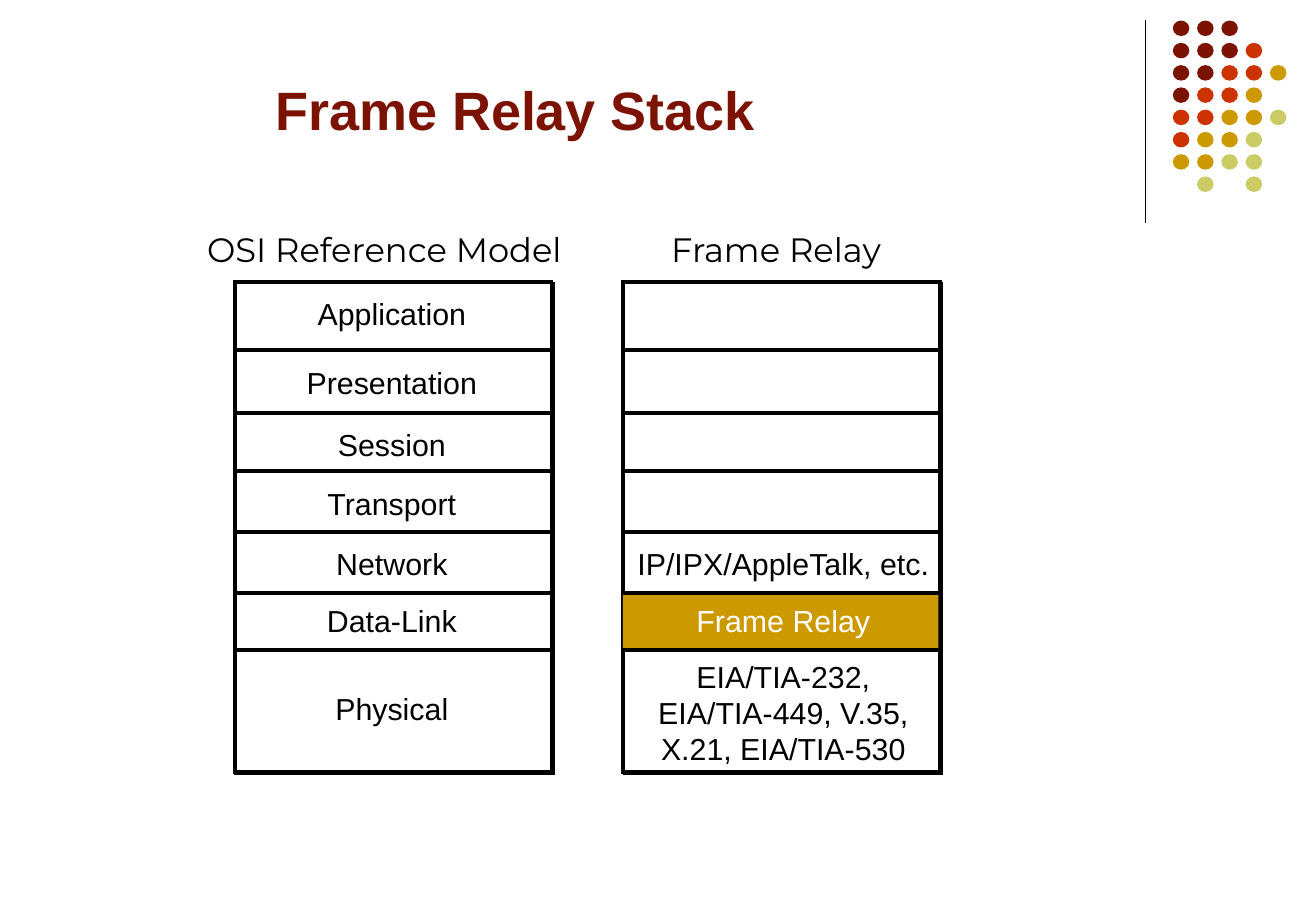
from lxml.etree import SubElement
from pptx import Presentation
from pptx.dml.color import RGBColor
from pptx.enum.shapes import MSO_CONNECTOR, MSO_SHAPE
from pptx.enum.text import MSO_ANCHOR, PP_ALIGN
from pptx.oxml.ns import qn
from pptx.util import Pt

COLORS = {
    "black": "000000",
    "white": "FFFFFF",
    "maroon": "7C1302",
    "red": "CC3300",
    "gold": "CC9900",
    "olive": "CCCC66",
}

# One letter per dot colour, a space where a dot is missing
DOT_ROWS = ["MMM", "MMMR", "MMRRG", "MRRG", "RRGGO", "RGGO", "GGOO", " O O"]
DOT_COLORS = {"M": "maroon", "R": "red", "G": "gold", "O": "olive"}

STACK_TOP, STACK_WIDTH, STACK_HEIGHT = 167.3, 188, 290.2
OSI_LEFT, FRAME_RELAY_LEFT = 139.2, 369.4
LAYER_BORDERS = [207.4, 245, 279.4, 315.4, 351.4, 385.4]
HEADING_TOP = 132.1
NETWORK_TOP, DATA_LINK_TOP = 319.3, 353.1

OSI_LAYERS = [
    ("Application", 171.4),
    ("Presentation", 212),
    ("Session", 249.1),
    ("Transport", 284),
    ("Network", NETWORK_TOP),
    ("Data-Link", DATA_LINK_TOP),
    ("Physical", 405.4),
]


def color(name):
    return RGBColor.from_string(COLORS[name])


def add_filled_shape(shapes, kind, left, top, width, height, fill):
    shape = shapes.add_shape(kind, Pt(left), Pt(top), Pt(width), Pt(height))
    shape.shadow.inherit = False
    shape.fill.solid()
    shape.fill.fore_color.rgb = color(fill)
    shape.line.fill.background()
    return shape


def add_line(slide, start_x, start_y, end_x, end_y, weight):
    line = slide.shapes.add_connector(
        MSO_CONNECTOR.STRAIGHT, Pt(start_x), Pt(start_y), Pt(end_x), Pt(end_y))
    line.line.color.rgb = color("black")
    line.line.width = Pt(weight)
    SubElement(line.element.spPr, qn("a:effectLst"))


def add_text(slide, text, left, top, width, height, size=18, font="Arial",
             fill="black", bold=False, align=PP_ALIGN.CENTER):
    box = slide.shapes.add_textbox(Pt(left), Pt(top), Pt(width), Pt(height))
    frame = box.text_frame
    frame.word_wrap = True
    frame.vertical_anchor = MSO_ANCHOR.TOP
    paragraph = frame.paragraphs[0]
    paragraph.alignment = align
    run = paragraph.add_run()
    run.text = text
    run.font.name = font
    run.font.size = Pt(size)
    run.font.bold = bold
    run.font.color.rgb = color(fill)


def add_label(slide, text, center, top, width=136, height=29, **style):
    add_text(slide, text, center - width / 2, top, width, height, **style)


def add_hard_shadow(shape):
    effects = shape.element.spPr.find(qn("a:effectLst"))
    shadow = SubElement(effects, qn("a:outerShdw"), blurRad="0",
                        dist=str(Pt(1.4)), dir="2700000",
                        algn="ctr", rotWithShape="0")
    SubElement(shadow, qn("a:srgbClr"), val=COLORS["black"])


def add_dot_pattern(slide):
    group = slide.shapes.add_group_shape()
    for row, letters in enumerate(DOT_ROWS):
        for column, letter in enumerate(letters):
            if letter in DOT_COLORS:
                add_filled_shape(group.shapes, MSO_SHAPE.OVAL,
                                 695.6 + 14.4 * column, 12.2 + 13.2 * row,
                                 9.8, 9.2, DOT_COLORS[letter])


def add_stack_frame(slide, left):
    frame = add_filled_shape(slide.shapes, MSO_SHAPE.RECTANGLE, left, STACK_TOP,
                             STACK_WIDTH, STACK_HEIGHT, "white")
    frame.line.color.rgb = color("black")
    frame.line.width = Pt(2.25)
    # Square corners
    SubElement(frame.element.spPr.find(qn("a:ln")), qn("a:miter"), lim="800000")
    add_hard_shadow(frame)


def add_layer_borders(slide, left):
    for border in LAYER_BORDERS:
        add_line(slide, left, border, left + STACK_WIDTH, border, 2.25)


def main():
    presentation = Presentation()
    presentation.slide_width = Pt(780.48)
    presentation.slide_height = Pt(540)
    slide = presentation.slides.add_slide(presentation.slide_layouts[6])

    # Corner decoration
    add_line(slide, 679.3, 12, 679.3, 132, 0.75)
    add_dot_pattern(slide)

    # Title
    add_text(slide, "Frame Relay Stack", 156.2, 42.1, 360, 46, size=32,
             fill="maroon", bold=True, align=PP_ALIGN.LEFT)

    # Stack frames, highlighted layer and borders
    for left in (OSI_LEFT, FRAME_RELAY_LEFT):
        add_stack_frame(slide, left)
    add_filled_shape(slide.shapes, MSO_SHAPE.RECTANGLE, FRAME_RELAY_LEFT, 352,
                     187.2, 32, "gold")
    for left in (OSI_LEFT, FRAME_RELAY_LEFT):
        add_layer_borders(slide, left)

    # OSI layer names
    osi_center = 232.4
    add_label(slide, "OSI Reference Model", 228, HEADING_TOP, 276, 32,
              size=20, font="Montserrat")
    for name, top in OSI_LAYERS:
        add_label(slide, name, osi_center, top)

    # Frame Relay layers
    relay_center = 464.6
    add_label(slide, "Frame Relay", 460.2, HEADING_TOP, 218, 32,
              size=20, font="Montserrat")
    add_label(slide, "IP/IPX/AppleTalk, etc.", relay_center, NETWORK_TOP, 232)
    add_label(slide, "Frame Relay", relay_center, DATA_LINK_TOP, fill="white")
    add_label(slide, "EIA/TIA-232, EIA/TIA-449, V.35, X.21, EIA/TIA-530",
              relay_center, 386.3, 186, 72)

    presentation.save("out.pptx")


if __name__ == "__main__":
    main()
